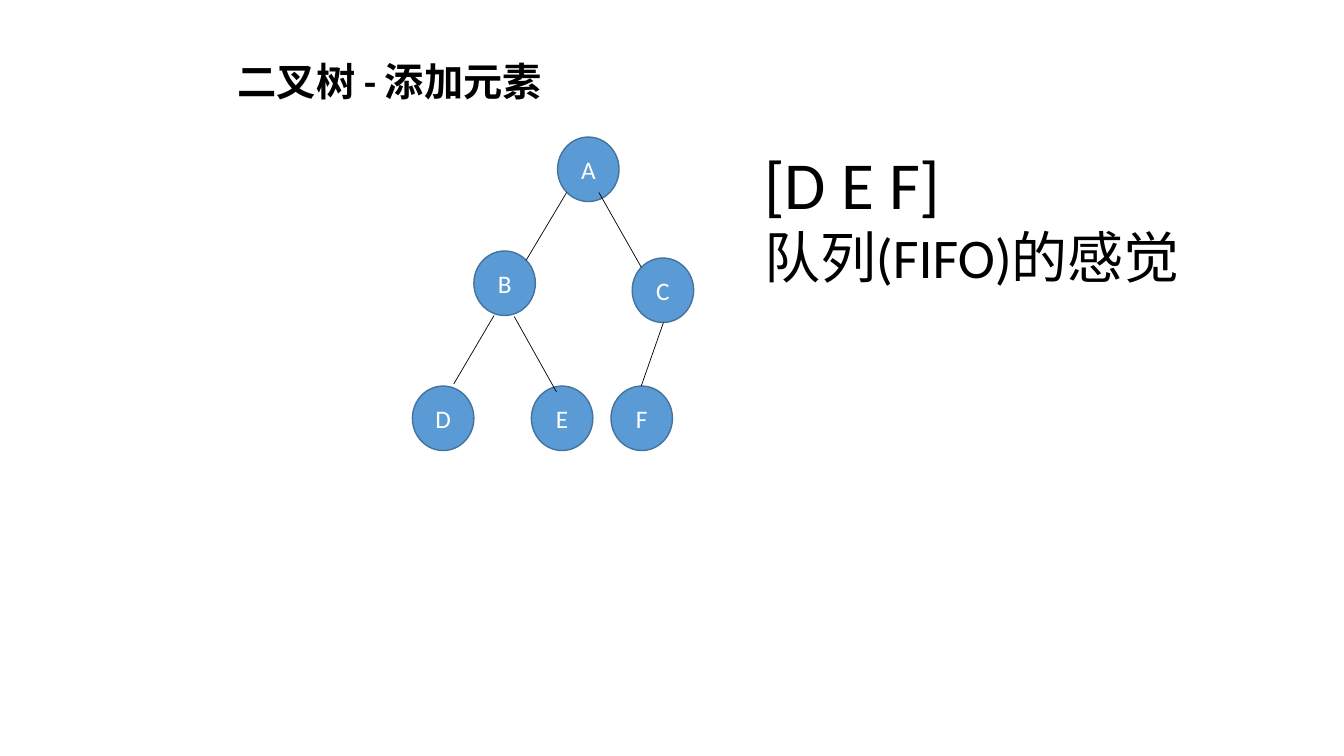
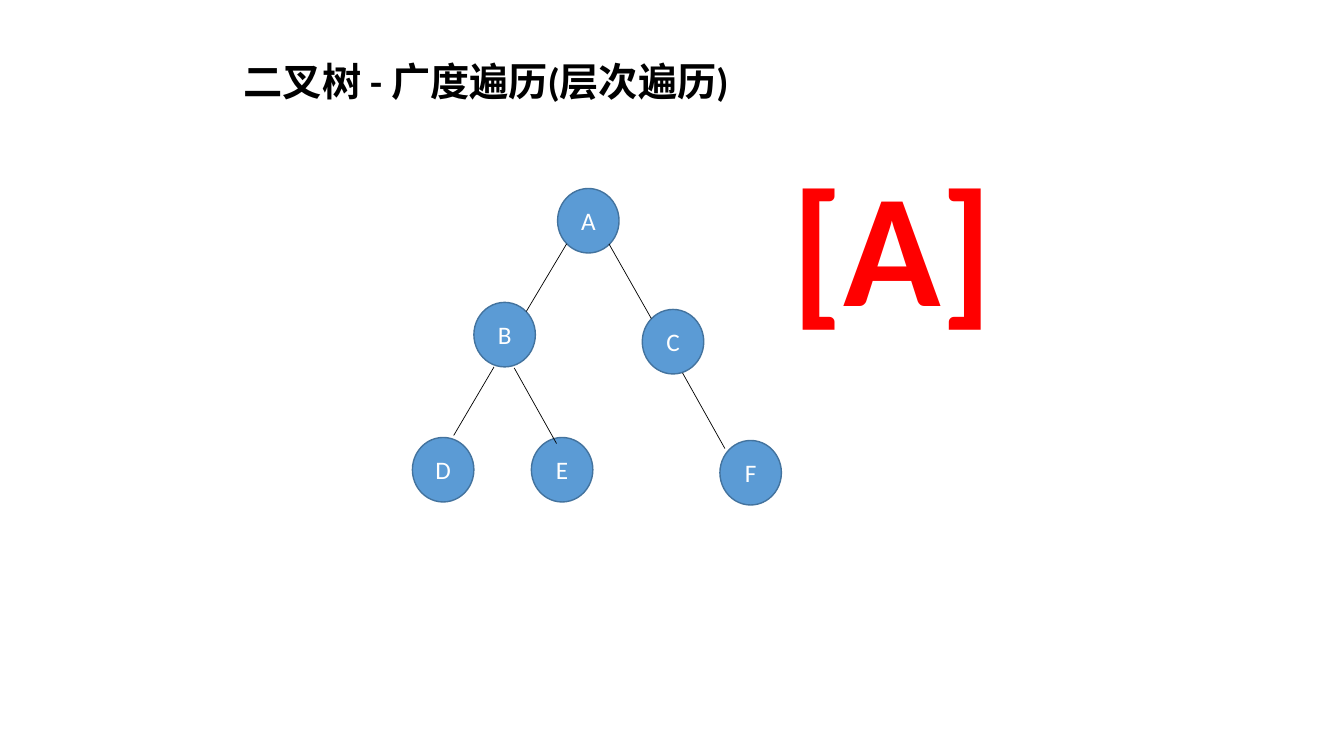
from dataclasses import dataclass

from lxml import etree
from pptx import Presentation
from pptx.dml.color import RGBColor
from pptx.enum.shapes import MSO_CONNECTOR, MSO_SHAPE
from pptx.enum.text import MSO_ANCHOR, MSO_AUTO_SIZE, PP_ALIGN
from pptx.oxml.ns import qn
from pptx.util import Inches, Pt

LINE = MSO_CONNECTOR.STRAIGHT
ELLIPSE = MSO_SHAPE.OVAL
MIDDLE = MSO_ANCHOR.MIDDLE
GROW = MSO_AUTO_SIZE.SHAPE_TO_FIT_TEXT
LEFT, CENTER = PP_ALIGN.LEFT, PP_ALIGN.CENTER


@dataclass(frozen=True)
class Theme:
    font: str = "Calibri"
    black: RGBColor = RGBColor(0x00, 0x00, 0x00)
    white: RGBColor = RGBColor(0xFF, 0xFF, 0xFF)
    red: RGBColor = RGBColor(0xFF, 0x00, 0x00)
    node_fill: RGBColor = RGBColor(0x5B, 0x9B, 0xD5)
    node_line: RGBColor = RGBColor(0x43, 0x73, 0x9E)
    node_size: int = 18
    title_size: int = 28
    queue_size: int = 48
    remark_size: int = 40
    big_size: int = 115


theme = Theme()


def write(paragraph, text, size, color=theme.black, bold=False, align=LEFT):
    paragraph.alignment = align
    run = paragraph.add_run()
    run.text = text
    run.font.name = theme.font
    run.font.size = Pt(size)
    run.font.bold = bold
    run.font.color.rgb = color


def add_text_box(slide, left, top, width, height, lines):
    frame = slide.shapes.add_textbox(
        Inches(left), Inches(top), Inches(width), Inches(height)).text_frame
    frame.word_wrap = True
    frame.auto_size = GROW
    for index, (text, style) in enumerate(lines):
        paragraph = frame.add_paragraph() if index else frame.paragraphs[0]
        write(paragraph, text, **style)


# Tree parts both slides share; heights are measured from the top of the root
NODE_WIDTH, NODE_HEIGHT = 0.61, 0.64
LEVEL_2, LEVEL_3 = 1.13, 2.47
shared_nodes = {"A": (5.53, 0), "B": (4.7, LEVEL_2),
                "D": (4.09, LEVEL_3), "E": (5.27, LEVEL_3)}
shared_edges = [(5.22, 1.22, 5.62, 0.55),
                (5.52, 2.53, 5.1, 1.78),
                (4.5, 2.45, 4.9, 1.77)]

# What differs from slide to slide
pages = [
    {
        "title": ("二叉树 - 添加元素", 2.26, 3.25),
        "root_top": 1.36,
        "nodes": {"C": (6.27, 1.2), "F": (6.06, LEVEL_3)},
        "edges": [(6.36, 1.29, 5.94, 0.55), (6.36, 2.47, 6.58, 1.84)],
        "note_box": (7.48, 1.36, 4.43, 1.58),
        "note": [("[D E F]", {"size": theme.queue_size}),
                 ("队列(FIFO)的感觉", {"size": theme.remark_size})],
    },
    {
        "title": ("二叉树 - 广度遍历(层次遍历)", 2.32, 5.09),
        "root_top": 1.87,
        "nodes": {"C": (6.37, 1.2), "F": (7.14, 2.5)},
        "edges": [(6.46, 1.29, 6.04, 0.55), (7.19, 2.58, 6.77, 1.83)],
        "note_box": (7.75, 1.39, 4.92, 2.04),
        "note": [("[A]", {"size": theme.big_size, "color": theme.red,
                          "bold": True})],
    },
]

presentation = Presentation()
presentation.slide_width = Inches(13.33)
presentation.slide_height = Inches(7.5)
blank = presentation.slide_layouts[6]

for page in pages:
    slide = presentation.slides.add_slide(blank)
    root_top = page["root_top"]

    # Nodes
    for letter, (left, drop) in sorted({**shared_nodes, **page["nodes"]}.items()):
        node = slide.shapes.add_shape(
            ELLIPSE, Inches(left), Inches(root_top + drop),
            Inches(NODE_WIDTH), Inches(NODE_HEIGHT))
        node.shadow.inherit = False
        node.fill.solid()
        node.fill.fore_color.rgb = theme.node_fill
        node.line.color.rgb = theme.node_line
        node.line.width = Pt(1)
        node.text_frame.vertical_anchor = MIDDLE
        write(node.text_frame.paragraphs[0], letter, theme.node_size,
              color=theme.white, align=CENTER)

    # Edges from child to parent
    for child_x, child_y, parent_x, parent_y in shared_edges + page["edges"]:
        edge = slide.shapes.add_connector(
            LINE, Inches(child_x), Inches(root_top + child_y),
            Inches(parent_x), Inches(root_top + parent_y))
        edge.line.color.rgb = theme.black
        edge.line.width = Pt(0.5)
        etree.SubElement(edge._element.spPr, qn("a:effectLst"))

    # Title and note
    title, left, width = page["title"]
    add_text_box(slide, left, 0.52, width, 0.57,
                 [(title, {"size": theme.title_size, "bold": True})])
    add_text_box(slide, *page["note_box"], page["note"])

presentation.save("out.pptx")
